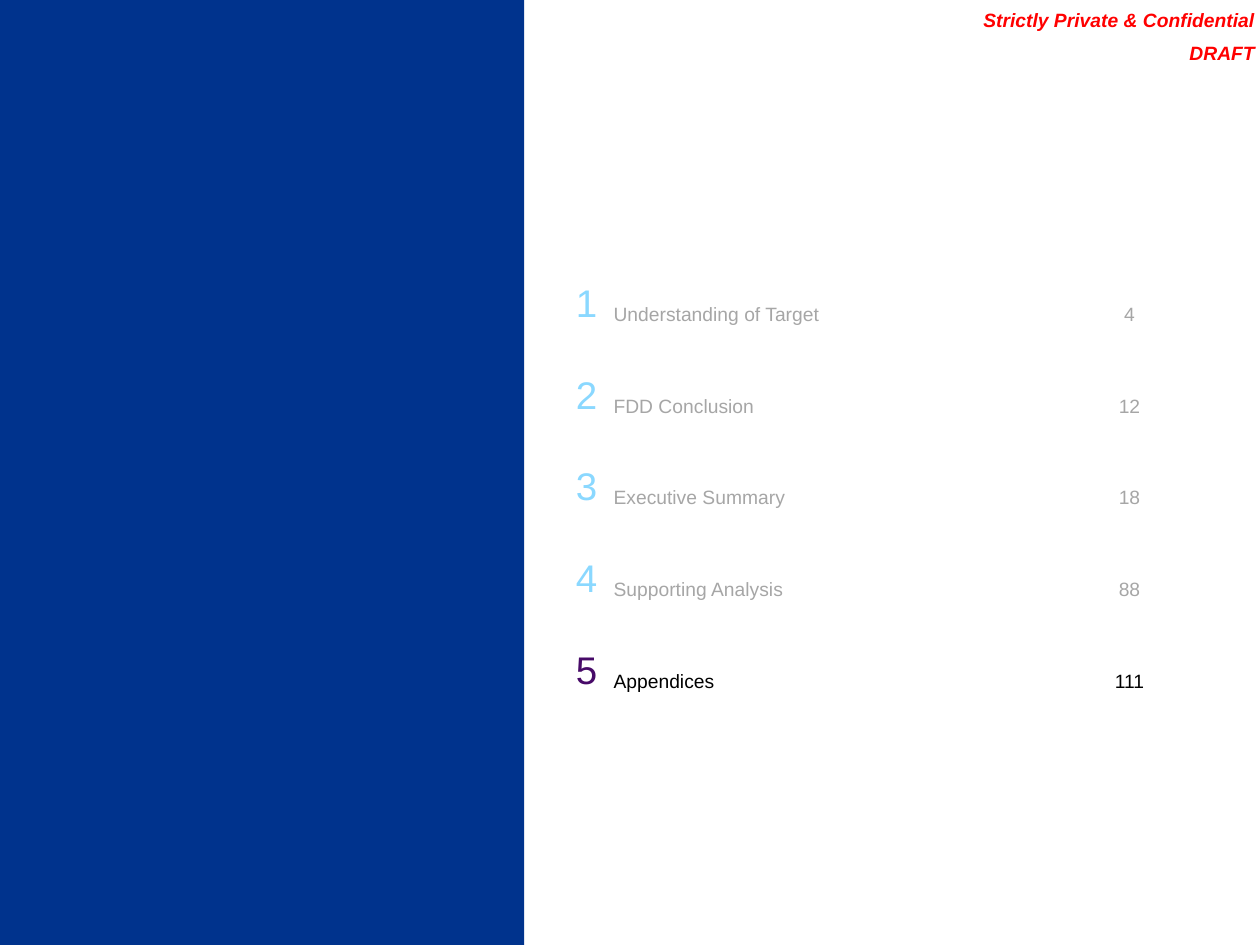
from pptx import Presentation
from pptx.dml.color import RGBColor
from pptx.enum.shapes import MSO_SHAPE
from pptx.enum.text import MSO_ANCHOR, PP_ALIGN
from pptx.util import Inches, Pt

RECTANGLE = MSO_SHAPE.RECTANGLE
LEFT, CENTER, RIGHT = PP_ALIGN.LEFT, PP_ALIGN.CENTER, PP_ALIGN.RIGHT
MIDDLE, BOTTOM = MSO_ANCHOR.MIDDLE, MSO_ANCHOR.BOTTOM

BLUE = RGBColor(0x00, 0x33, 0x8D)
RED = RGBColor(0xFF, 0x00, 0x00)
LIGHT_BLUE = RGBColor(0x8A, 0xD8, 0xFF)
PURPLE = RGBColor(0x47, 0x0A, 0x68)
GREY = RGBColor(0xA6, 0xA6, 0xA6)
BLACK = RGBColor(0x00, 0x00, 0x00)

FONT = "Arial"
SECTIONS = [
    ("Understanding of Target", 4),
    ("FDD Conclusion", 12),
    ("Executive Summary", 18),
    ("Supporting Analysis", 88),
    ("Appendices", 111),
]
CURRENT_SECTION = 5
COLUMN_WIDTHS = (0.52, 3.89, 0.49)


def write(frame, text, size=11, color=BLACK, align=LEFT, emphasis=False, gap=0):
    """Write one paragraph per line of text, with gap points between them."""
    for index, line in enumerate(text.split("\n")):
        paragraph = frame.add_paragraph() if index else frame.paragraphs[0]
        paragraph.alignment = align
        if index:
            paragraph.space_before = Pt(gap)
        run = paragraph.add_run()
        run.text = line
        run.font.name = FONT
        run.font.size = Pt(size)
        run.font.color.rgb = color
        run.font.bold = run.font.italic = emphasis


def set_margins(target, left, top, right, bottom):
    target.margin_left, target.margin_top = Inches(left), Inches(top)
    target.margin_right, target.margin_bottom = Inches(right), Inches(bottom)


def add_side_panel(slide, left, top, width, height):
    panel = slide.shapes.add_shape(
        RECTANGLE, Inches(left), Inches(top), Inches(width), Inches(height))
    panel.shadow.inherit = False
    panel.fill.solid()
    panel.fill.fore_color.rgb = BLUE
    panel.line.fill.background()


def add_confidentiality_mark(slide, left, top, width, height):
    box = slide.shapes.add_textbox(
        Inches(left), Inches(top), Inches(width), Inches(height))
    frame = box.text_frame
    frame.word_wrap = True
    frame.vertical_anchor = BOTTOM
    set_margins(frame, 0, 0.04, 0.04, 0.04)
    write(frame, "Strictly Private & Confidential\nDRAFT",
          color=RED, align=RIGHT, emphasis=True, gap=5.5)


def fill_cell(cell, text, margins, **text_format):
    cell.fill.background()
    cell.vertical_anchor = MIDDLE
    set_margins(cell, *margins)
    write(cell.text_frame, text, **text_format)


def add_contents_table(slide, left, top, width, height):
    table = slide.shapes.add_table(
        len(SECTIONS), len(COLUMN_WIDTHS),
        Inches(left), Inches(top), Inches(width), Inches(height)).table
    table.first_row = table.horz_banding = False
    for column, column_width in zip(table.columns, COLUMN_WIDTHS):
        column.width = Inches(column_width)

    for number, (title, page) in enumerate(SECTIONS, start=1):
        is_current = number == CURRENT_SECTION
        number_color = PURPLE if is_current else LIGHT_BLUE
        text_color = BLACK if is_current else GREY
        number_cell, title_cell, page_cell = table.rows[number - 1].cells
        fill_cell(number_cell, str(number), (0.09, 0.05, 0.09, 0.05),
                  size=22, color=number_color, align=RIGHT)
        fill_cell(title_cell, title, (0.04, 0.22, 0, 0.05), color=text_color)
        fill_cell(page_cell, str(page), (0.09, 0.22, 0.09, 0.05),
                  color=text_color, align=CENTER)


def main():
    presentation = Presentation()
    presentation.slide_width = Inches(10)
    presentation.slide_height = Inches(7.5)
    blank_layout = presentation.slide_layouts[6]
    slide = presentation.slides.add_slide(blank_layout)
    add_side_panel(slide, 0, 0, 4.16, 7.5)
    add_confidentiality_mark(slide, 7.5, 0, 2.5, 0.55)
    add_contents_table(slide, 4.31, 2.05, 4.9, 3.64)
    presentation.save("out.pptx")


if __name__ == "__main__":
    main()
